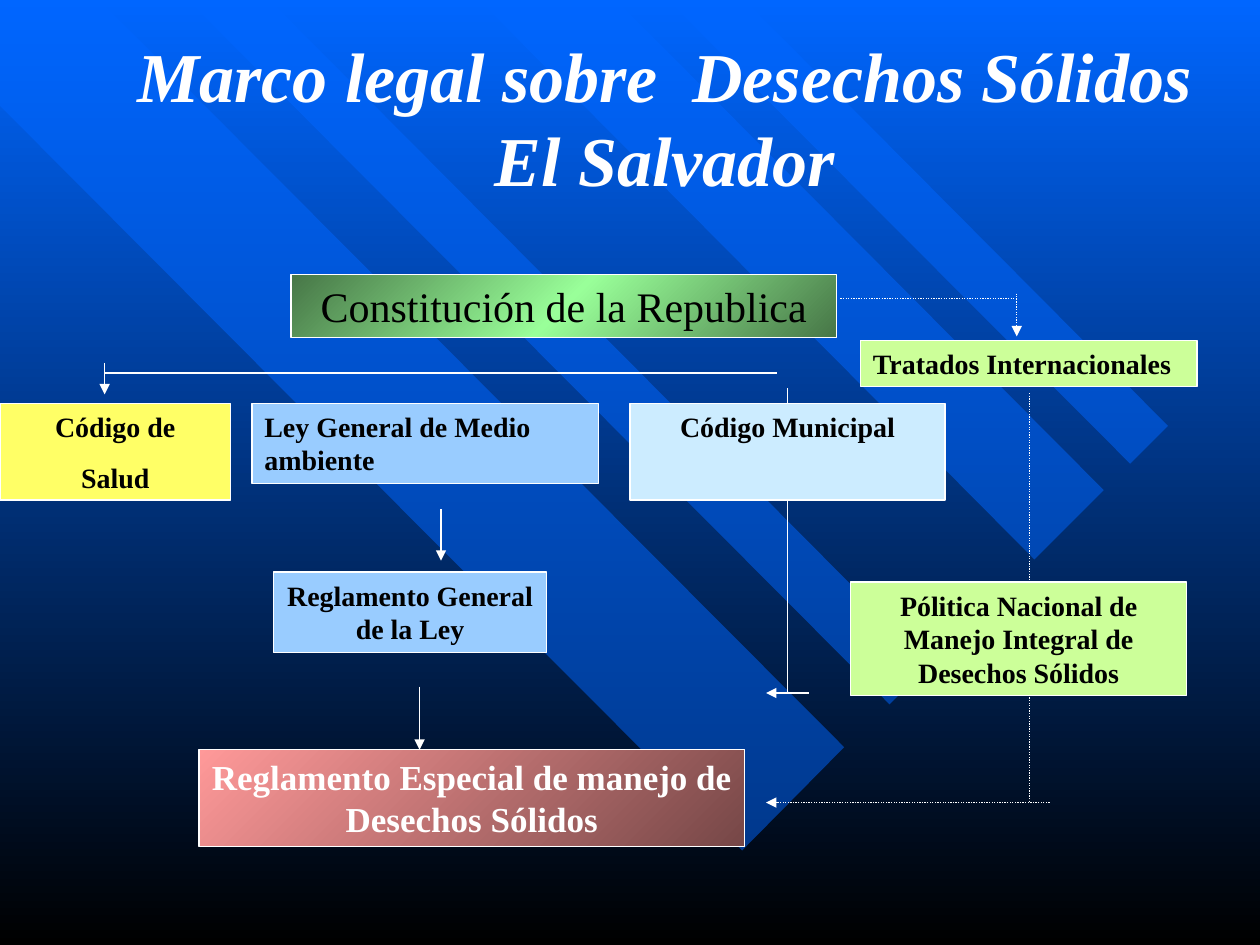
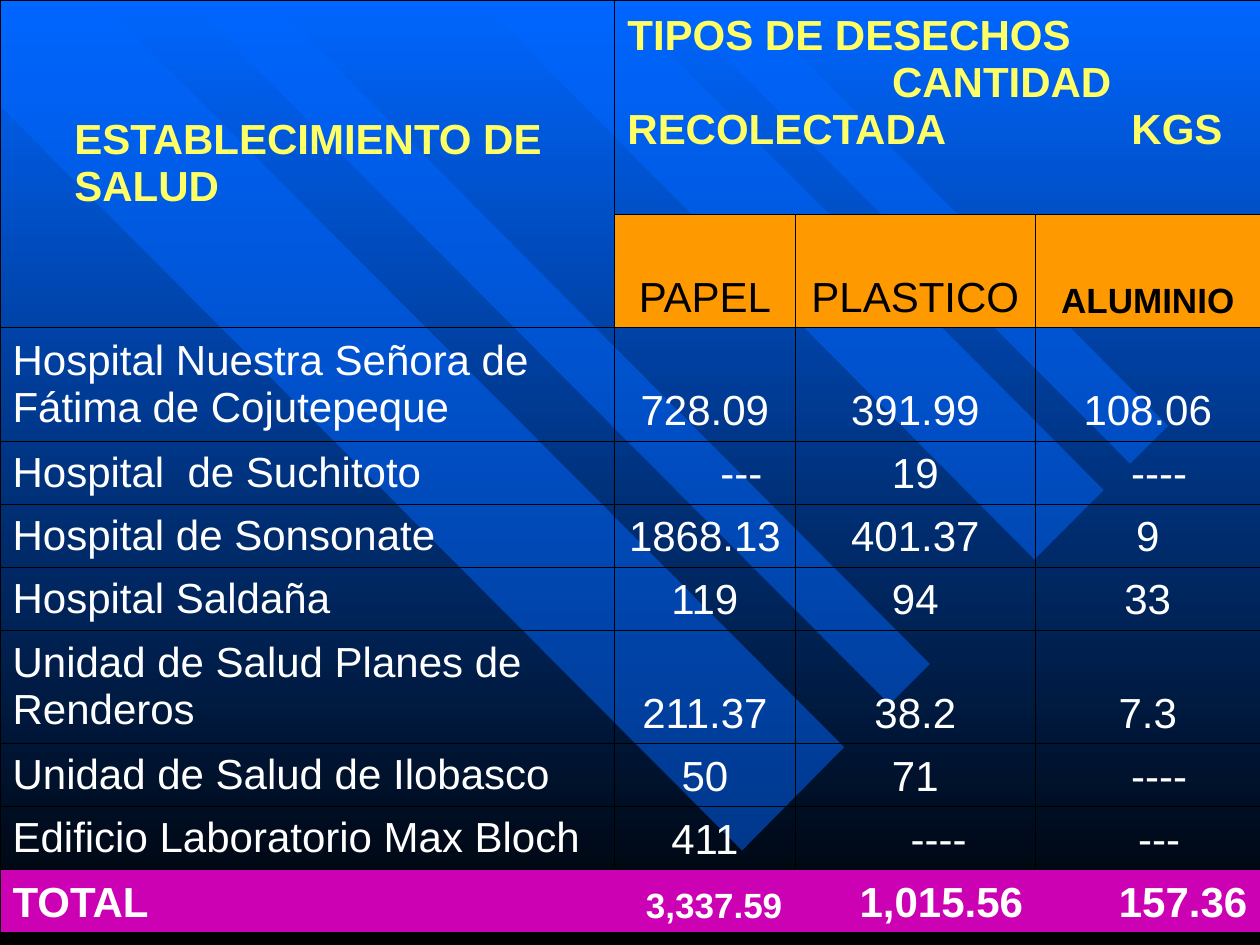
from copy import deepcopy

from lxml import etree
from pptx import Presentation
from pptx.dml.color import RGBColor
from pptx.enum.dml import MSO_LINE
from pptx.enum.shapes import MSO_CONNECTOR, MSO_SHAPE
from pptx.enum.text import MSO_ANCHOR, PP_ALIGN
from pptx.oxml.ns import qn
from pptx.util import Inches, Pt

LEFT, CENTER, RIGHT = PP_ALIGN.LEFT, PP_ALIGN.CENTER, PP_ALIGN.RIGHT
TOP, MIDDLE, BOTTOM = MSO_ANCHOR.TOP, MSO_ANCHOR.MIDDLE, MSO_ANCHOR.BOTTOM
STRAIGHT, RECTANGLE = MSO_CONNECTOR.STRAIGHT, MSO_SHAPE.RECTANGLE
DOTTED = MSO_LINE.ROUND_DOT
TITLE_ONLY, BLANK = 5, 6
SERIF, SANS = "Times New Roman", "Arial"

COLORS = {
    "blue": "0066FF", "black": "000000", "white": "FFFFFF",
    "yellow": "FFFF66", "sky": "99CCFF", "ice": "CCECFF", "lime": "CCFF99",
    "green": "99FF99", "dark green": "477647",
    "rose": "FF9999", "dark rose": "764747",
    "orange": "FF9900", "magenta": "CB01B3",
}

# Diagonal bands behind every slide
BANDS = [
    [(0, 0), (0.79, 0), (6.7, 5.93), (5.89, 6.75), (0, 0.84)],
    [(1.49, 0), (2.14, 0), (7.38, 5.27), (7.06, 5.59)],
    [(3.8, 0), (4.89, 0), (8.76, 3.89), (8.21, 4.44)],
    [(5.3, 0), (5.91, 0), (9.27, 3.38), (8.97, 3.68)],
]

# Legal framework: start, end, dotted, arrowhead
LINKS = [
    ((0.83, 2.88), (0.83, 3.13), False, True),
    ((0.83, 2.96), (6.17, 2.96), False, False),
    ((6.25, 3.08), (6.25, 5.5), False, False),
    ((6.42, 5.5), (6.08, 5.5), False, True),
    ((3.5, 4.04), (3.5, 4.45), False, True),
    ((3.33, 5.45), (3.33, 5.95), False, True),
    ((6.67, 2.37), (8.08, 2.37), True, False),
    ((8.07, 2.33), (8.07, 2.67), True, True),
    ((8.17, 3.12), (8.17, 6.37), True, False),
    ((8.33, 6.37), (6.08, 6.37), True, True),
]

# Sixteen-point boxes: left, top, width, height, fill, alignment, paragraphs
LAW_BOXES = [
    (0, 3.2, 1.83, 0.77, "yellow", CENTER, ["Código de", "Salud"]),
    (2, 3.2, 2.75, 0.64, "sky", LEFT, ["Ley General de Medio ambiente"]),
    (5, 3.2, 2.5, 0.77, "ice", CENTER, ["Código Municipal"]),
    (6.83, 2.7, 2.67, 0.37, "lime", LEFT, ["Tratados Internacionales"]),
    (2.17, 4.54, 2.17, 0.64, "sky", CENTER, ["Reglamento General de la Ley"]),
    (6.75, 4.62, 2.67, 0.9, "lime", CENTER,
     ["Pólitica Nacional de Manejo Integral de Desechos Sólidos"]),
]

# Waste collected
COLUMN_WIDTHS = [3.59, 1.29, 1.43, 1.91, 1.78]
ROW_HEIGHTS = [1.7, 0.9, 0.9, 0.5, 0.5, 0.5, 0.9, 0.5, 0.5, 0.5]
MATERIALS = [("PAPEL", 24, False), ("PLASTICO", 24, False), ("ALUMINIO", 20, True)]
COLLECTED = [
    ("Hospital Nuestra Señora de Fátima de Cojutepeque", "728.09", "391.99", "108.06"),
    ("Hospital  de Suchitoto", "---", "19", "----"),
    ("Hospital de Sonsonate", "1868.13", "401.37", "9"),
    ("Hospital Saldaña", "119", "94", "33"),
    ("Unidad de Salud Planes de Renderos", "211.37", "38.2", "7.3"),
    ("Unidad de Salud de Ilobasco", "50", "71", "----"),
    ("Edificio Laboratorio Max Bloch", "411", "----", "---"),
]
DASH_INDENTS = [0.58, 0.37, 0.18]
TOTALS = [("3,337.59", 20), ("1,015.56", 24), ("157.36", 24)]


def rgb(name):
    return RGBColor.from_string(COLORS[name])


def fill_gradient(fill, owner, names, angle):
    """Spread the named colours evenly; owner is the XML holding the fill."""
    fill.gradient()
    fill.gradient_angle = angle
    stop_list = owner.find(".//" + qn("a:gsLst"))
    while len(stop_list) < len(names):
        stop_list.append(deepcopy(stop_list[-1]))
    for index, (stop, name) in enumerate(zip(fill.gradient_stops, names)):
        stop.position = index / (len(names) - 1)
        stop.color.rgb = rgb(name)


def write(para, text, size, color, font=SERIF, bold=False, italic=False, align=LEFT):
    para.alignment = align
    span = para.add_run()
    span.text = text
    span.font.name = font
    span.font.size = Pt(size)
    span.font.bold = bold
    span.font.italic = italic
    span.font.color.rgb = rgb(color)


def indent(para, inches):
    properties = para._p.get_or_add_pPr()
    properties.set("marL", str(Inches(inches)))
    properties.set("indent", "0")


def add_tab_stop(para, inches):
    tabs = etree.SubElement(para._p.get_or_add_pPr(), qn("a:tabLst"))
    etree.SubElement(tabs, qn("a:tab"), pos=str(Inches(inches)), algn="l")


def set_up_master(deck, slide):
    """Give the master its background and move the bands drawn on slide to it."""
    master = deck.slide_master
    fill_gradient(master.background.fill, master.element, ["blue", "black"], 270)
    tree = master.element.cSld.spTree
    for position, points in enumerate(BANDS, start=2):
        corners = [(Inches(x), Inches(y)) for x, y in points]
        builder = slide.shapes.build_freeform(*corners[0])
        builder.add_line_segments(corners[1:], close=True)
        band = builder.convert_to_shape()
        band.shadow.inherit = False
        band.line.fill.background()
        band.fill.solid()
        band.fill.fore_color.rgb = rgb("blue")
        tint = band.element.spPr.find(".//" + qn("a:srgbClr"))
        etree.SubElement(tint, qn("a:alpha"), val="50000")
        tree.insert(position, band.element)


def add_title(slide, text):
    title = slide.shapes.title
    title.left, title.top = Inches(0.9), Inches(0.21)
    title.width, title.height = Inches(8.75), Inches(1.44)
    title.text_frame.word_wrap = True
    title.text_frame.vertical_anchor = TOP
    write(title.text_frame.paragraphs[0], text, 40, "white",
          bold=True, italic=True, align=CENTER)


def add_link(slide, start, end, dotted, arrow):
    link = slide.shapes.add_connector(STRAIGHT, *map(Inches, start + end))
    link.line.color.rgb = rgb("white")
    link.line.width = Pt(0.75)
    if dotted:
        link.line.dash_style = DOTTED
    if arrow:
        etree.SubElement(link.line._get_or_add_ln(), qn("a:tailEnd"), type="triangle")
    etree.SubElement(link.element.spPr, qn("a:effectLst"))


def add_box(slide, left, top, width, height, fill, align, lines,
            size=16, color="black", bold=True):
    """Add a framed box; fill is one colour name or a list for a gradient."""
    box = slide.shapes.add_shape(RECTANGLE, *map(Inches, (left, top, width, height)))
    box.shadow.inherit = False
    box.line.color.rgb = rgb("white")
    box.line.width = Pt(0.75)
    if isinstance(fill, list):
        fill_gradient(box.fill, box.element, fill, 315)
    else:
        box.fill.solid()
        box.fill.fore_color.rgb = rgb(fill)
    frame = box.text_frame
    frame.word_wrap = True
    frame.vertical_anchor = TOP
    for index, line in enumerate(lines):
        para = frame.add_paragraph() if index else frame.paragraphs[0]
        para.space_before = Pt(size * 0.625)
        write(para, line, size, color, bold=bold, align=align)


def set_borders(cell, visible):
    """Draw the visible sides (letters of LRTB) and blank out the others."""
    properties = cell._tc.get_or_add_tcPr()
    for position, side in enumerate("LRTB"):
        border = etree.Element(qn("a:ln" + side), w=str(Pt(0.45)))
        if side in visible:
            paint = etree.SubElement(border, qn("a:solidFill"))
            etree.SubElement(paint, qn("a:srgbClr"), val=COLORS["black"])
        else:
            etree.SubElement(border, qn("a:noFill"))
        properties.insert(position, border)


def write_cell(cell, text, size=24, color="white", bold=False, align=CENTER,
               anchor=BOTTOM):
    cell.vertical_anchor = anchor
    para = cell.text_frame.paragraphs[0]
    write(para, text, size, color, SANS, bold, align=align)
    return para


def paint_table(table):
    last_row, last_column = len(ROW_HEIGHTS) - 1, len(COLUMN_WIDTHS) - 1
    for r in range(last_row + 1):
        for c in range(last_column + 1):
            cell = table.cell(r, c)
            if r == last_row or (r == 1 and c > 1):
                cell.fill.solid()
                cell.fill.fore_color.rgb = rgb("magenta" if r == last_row else "orange")
            else:
                cell.fill.background()
            ends = {0: "L", last_column: "R"}.get(c, "")
            set_borders(cell, "TB" + (ends if r == last_row else "LR"))


def write_headings(table):
    place = table.cell(0, 0)
    place.merge(table.cell(1, 1))
    place.margin_left = Inches(0.59)
    write_cell(place, "ESTABLECIMIENTO DE SALUD", color="yellow", bold=True,
               align=LEFT, anchor=MIDDLE)

    kinds = table.cell(0, 2)
    kinds.merge(table.cell(0, 4))
    kinds.margin_top = Inches(0.1)
    write_cell(kinds, "TIPOS DE DESECHOS", color="yellow", bold=True,
               align=LEFT, anchor=TOP)
    amount = kinds.text_frame.add_paragraph()
    write(amount, "CANTIDAD", 24, "yellow", SANS, True)
    indent(amount, 2.1)
    unit = kinds.text_frame.add_paragraph()
    write(unit, "RECOLECTADA\tKGS", 24, "yellow", SANS, True)
    add_tab_stop(unit, 4)

    for c, (material, size, bold) in enumerate(MATERIALS, start=2):
        write_cell(table.cell(1, c), material, size, "black", bold)


def add_waste_table(slide):
    frame = slide.shapes.add_table(len(ROW_HEIGHTS), len(COLUMN_WIDTHS), 0, 0,
                                   Inches(10), Inches(sum(ROW_HEIGHTS)))
    table = frame.table
    table.first_row = table.horz_banding = False
    for column, width in zip(table.columns, COLUMN_WIDTHS):
        column.width = Inches(width)
    for row, height in zip(table.rows, ROW_HEIGHTS):
        row.height = Inches(height)
    paint_table(table)
    write_headings(table)

    for r, (place, *amounts) in enumerate(COLLECTED, start=2):
        table.cell(r, 0).merge(table.cell(r, 1))
        write_cell(table.cell(r, 0), place, align=LEFT, anchor=MIDDLE)
        for c, (amount, dash_indent) in enumerate(zip(amounts, DASH_INDENTS), start=2):
            para = write_cell(table.cell(r, c), amount)
            if amount.startswith("-"):
                indent(para, dash_indent)

    total_row = len(ROW_HEIGHTS) - 1
    write_cell(table.cell(total_row, 0), "TOTAL", bold=True, align=LEFT)
    for c, (total, size) in enumerate(TOTALS, start=2):
        write_cell(table.cell(total_row, c), total, size, bold=True, align=RIGHT)


def main():
    deck = Presentation()
    deck.slide_width, deck.slide_height = Inches(10), Inches(7.5)

    # Legal framework
    legal = deck.slides.add_slide(deck.slide_layouts[TITLE_ONLY])
    set_up_master(deck, legal)
    add_title(legal, "Marco legal sobre  Desechos Sólidos El Salvador")
    for link in LINKS:
        add_link(legal, *link)
    add_box(legal, 2.31, 2.18, 4.33, 0.5, ["dark green", "green", "dark green"],
            CENTER, ["Constitución de la Republica"], size=24, bold=False)
    for box in LAW_BOXES:
        add_box(legal, *box)
    add_box(legal, 1.58, 5.95, 4.33, 0.77, ["rose", "dark rose"], CENTER,
            ["Reglamento Especial de manejo de Desechos Sólidos"], size=20, color="white")

    # Waste collected by each health centre
    waste = deck.slides.add_slide(deck.slide_layouts[BLANK])
    add_waste_table(waste)

    deck.save("out.pptx")


if __name__ == "__main__":
    main()
